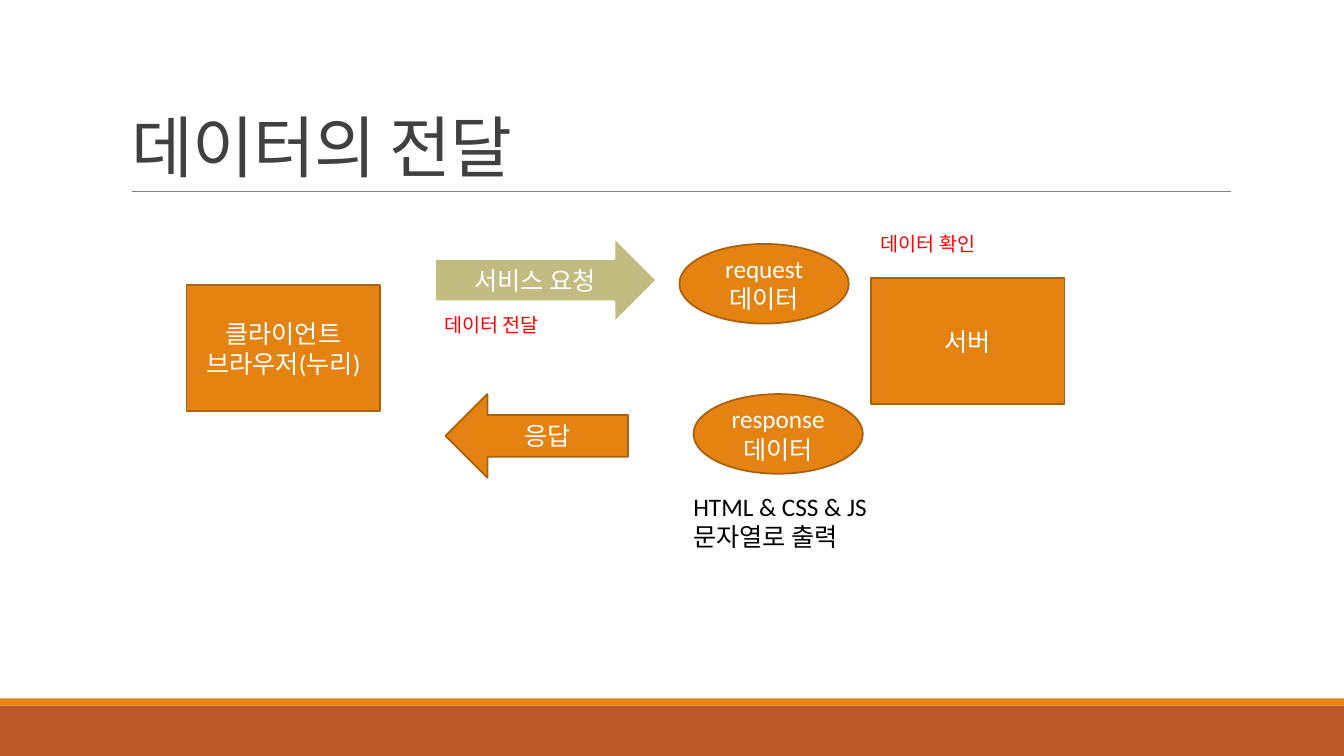
import pptx
import pptx.dml.color
import pptx.enum.shapes
import pptx.enum.text
import pptx.oxml.ns
import pptx.util
from lxml import etree

COLUMNS, ROWS = 133.33, 75
CELL = pptx.util.Inches(0.1)
FONT = "Calibri"
ORANGE, DARK_ORANGE, RUST = "E48312", "A9610D", "BD582C"
OLIVE, WHITE, BLACK, RED = "C2BC80", "FFFFFF", "000000", "FF0000"
TITLE_GRAY, RULE_GRAY = "404040", "808080"

SHAPE = pptx.enum.shapes.MSO_SHAPE
ALIGN = pptx.enum.text.PP_ALIGN
ANCHOR = pptx.enum.text.MSO_ANCHOR
AUTO_SIZE = pptx.enum.text.MSO_AUTO_SIZE


def color(hex_code):
    return pptx.dml.color.RGBColor.from_string(hex_code)


def grid(*cells):
    """Turn grid columns and rows into slide lengths."""
    return [round(cell * CELL) for cell in cells]


def write(frame, lines, size, hex_code, align):
    """Write one paragraph per line and return the runs."""
    runs = []
    for index, line in enumerate(lines):
        paragraph = frame.add_paragraph() if index else frame.paragraphs[0]
        paragraph.alignment = align
        run = paragraph.add_run()
        run.text = line
        run.font.name = FONT
        run.font.size = pptx.util.Pt(size)
        run.font.color.rgb = color(hex_code)
        runs.append(run)
    return runs


def add_block(slide, kind, place, lines=(), fill=ORANGE, outline=DARK_ORANGE, width=1.25):
    block = slide.shapes.add_shape(kind, *grid(*place))
    block.shadow.inherit = False
    block.fill.solid()
    block.fill.fore_color.rgb = color(fill)
    if outline:
        block.line.color.rgb = color(outline)
        block.line.width = pptx.util.Pt(width)
    else:
        block.line.fill.background()
    block.text_frame.word_wrap = True
    block.text_frame.vertical_anchor = ANCHOR.MIDDLE
    write(block.text_frame, lines, 18, WHITE, ALIGN.CENTER)


def add_note(slide, place, lines, size, hex_code):
    frame = slide.shapes.add_textbox(*grid(*place)).text_frame
    frame.word_wrap = False
    frame.auto_size = AUTO_SIZE.SHAPE_TO_FIT_TEXT
    write(frame, lines, size, hex_code, ALIGN.LEFT)


def add_rule(slide, start, end, row):
    rule = slide.shapes.add_connector(
        pptx.enum.shapes.MSO_CONNECTOR.STRAIGHT, *grid(start, row, end, row))
    rule.line.color.rgb = color(RULE_GRAY)
    rule.line.width = pptx.util.Pt(0.5)
    etree.SubElement(rule._element.spPr, pptx.oxml.ns.qn("a:effectLst"))


def set_title(slide, text):
    title = slide.shapes.title
    title.left, title.top, title.width, title.height = grid(12, 3.1, 110, 15.9)
    frame = title.text_frame
    frame.word_wrap = True
    frame.auto_size = AUTO_SIZE.NONE
    frame.vertical_anchor = ANCHOR.BOTTOM
    for run in write(frame, [text], 48, TITLE_GRAY, ALIGN.LEFT):
        run._r.get_or_add_rPr().set("spc", "-50")
    frame.paragraphs[0].line_spacing = 0.85


def main():
    deck = pptx.Presentation()
    deck.slide_width, deck.slide_height = grid(COLUMNS, ROWS)
    slide = deck.slides.add_slide(deck.slide_layouts[5])

    add_block(slide, SHAPE.RECTANGLE, (0, 70, COLUMNS, 5), fill=RUST, outline=None)
    add_block(slide, SHAPE.RECTANGLE, (0, 69.3, COLUMNS, 0.7), outline=None)
    add_rule(slide, 13.1, 122.1, 19)
    set_title(slide, "데이터의 전달")

    machine = (19.2, 12.5)
    add_block(slide, SHAPE.RECTANGLE, (18.5, 28.3, *machine), ["클라이언트", "브라우저(누리)"])
    add_block(slide, SHAPE.RECTANGLE, (86.4, 27.6, *machine), ["서버"])

    add_block(slide, SHAPE.RIGHT_ARROW, (43.1, 23.5, 22.1, 8.6), ["서비스 요청"],
              fill=OLIVE, outline=WHITE, width=2)
    add_block(slide, SHAPE.LEFT_ARROW, (44.2, 39.1, 18.1, 8.3), ["응답"])

    payload = (16.8, 7.9)
    add_block(slide, SHAPE.OVAL, (67.4, 24.2, *payload), ["request", "데이터"])
    add_block(slide, SHAPE.OVAL, (68.8, 39.1, *payload), ["response", "데이터"])

    add_note(slide, (43.1, 30.6, 12.3, 3.4), ["데이터 전달"], 14, RED)
    add_note(slide, (86.4, 22.5, 12.3, 3.4), ["데이터 확인"], 14, RED)
    add_note(slide, (67.8, 48.2, 19.4, 7.1), ["HTML & CSS & JS", "문자열로 출력"], 18, BLACK)

    deck.save("out.pptx")


if __name__ == "__main__":
    main()
